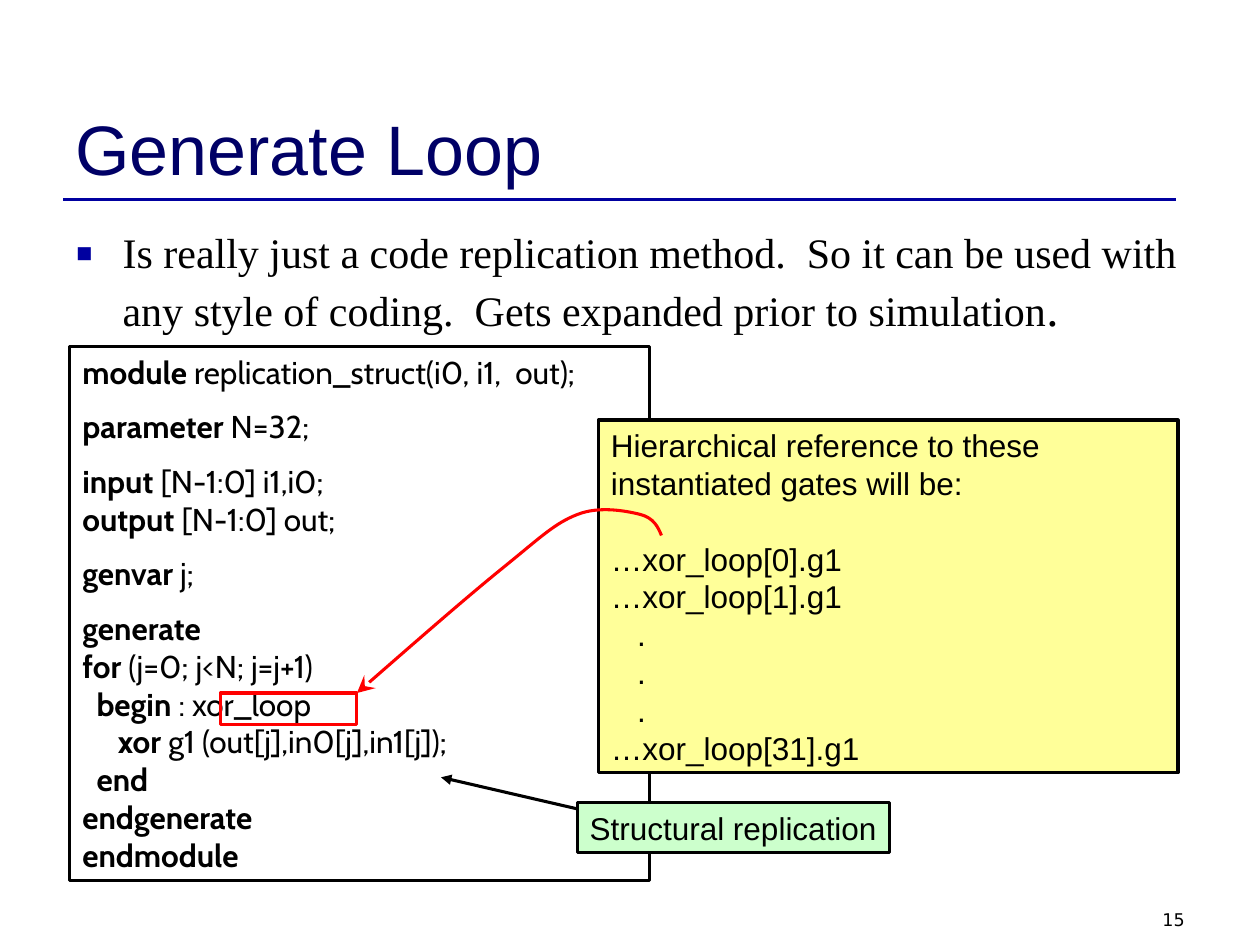
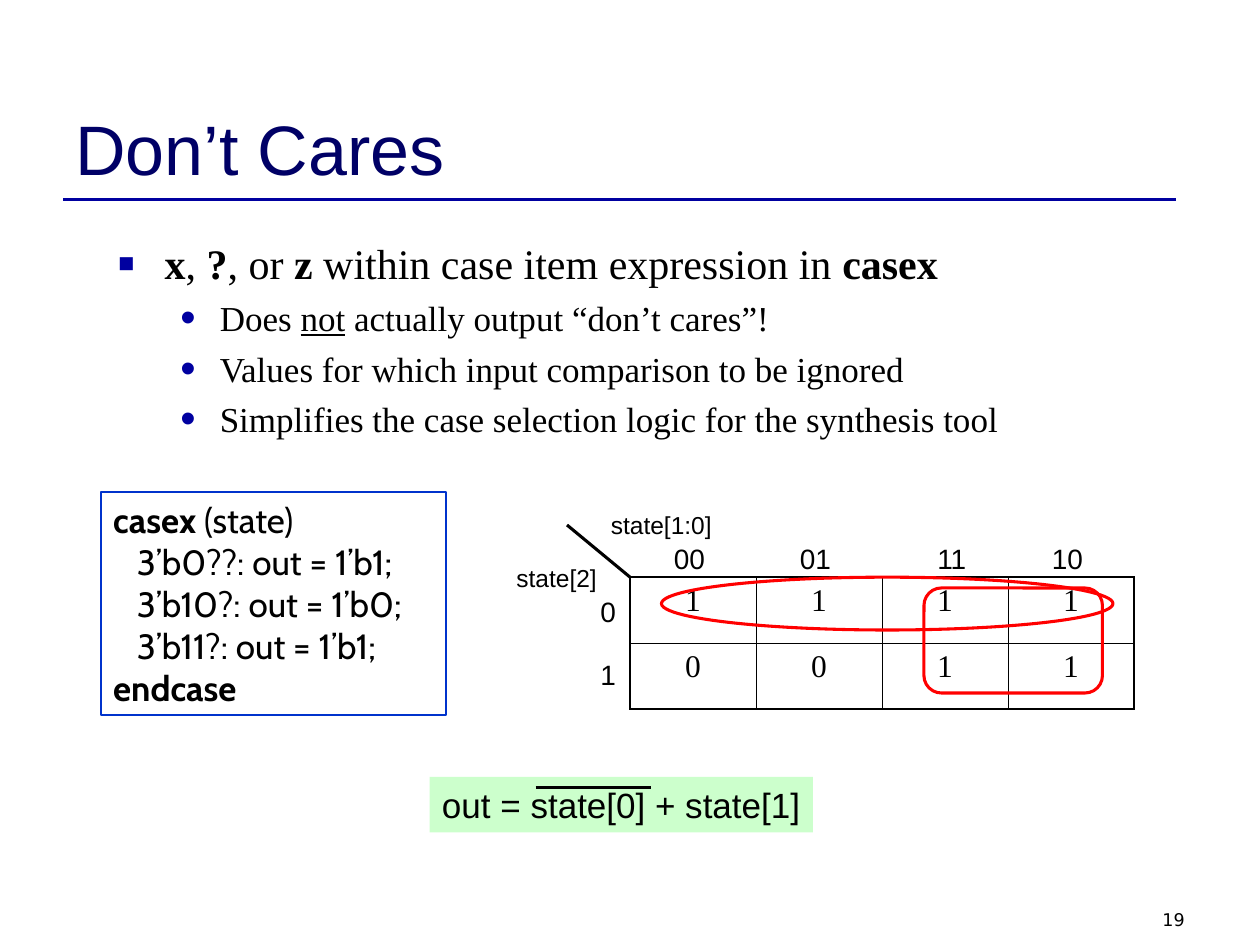
from pptx import Presentation
from pptx.dml.color import RGBColor
from pptx.enum.shapes import MSO_CONNECTOR, MSO_SHAPE
from pptx.enum.text import MSO_ANCHOR, PP_ALIGN
from pptx.oxml.ns import qn
from pptx.util import Pt
from lxml.etree import SubElement

COLORS = {
    "title": "000066",
    "accent": "0000A0",
    "text": "000000",
    "code_border": "0033CC",
    "highlight": "FF0000",
    "note": "FFFF99",
    "result": "CCFFCC",
}

TITLE = {"name": "Arial", "size": Pt(40), "color": "title"}
BODY = {"name": "Times New Roman", "size": Pt(24)}
SUB = {"name": "Times New Roman", "size": Pt(20)}
CELL = {"name": "Times New Roman", "size": Pt(18)}
CODE = {"name": "Cabin", "size": Pt(18)}
BIG_CODE = {"name": "Cabin", "size": Pt(20)}
NOTE = {"name": "Arial", "size": Pt(18)}
RESULT = {"name": "Arial", "size": Pt(20)}
HEADER = {"name": "Arial", "size": Pt(16)}
VARIABLE = {"name": "Arial", "size": Pt(14)}
NUMBER = {"name": "DejaVu Sans", "size": Pt(10)}

GAP = {"space_before": Pt(9.6)}
DOT = {"margin": 15}
BULLET = {"bullet": "▪", "margin": 27, "indent": -27}
SUB_BULLET = {"bullet": "•", "margin": 58.5, "indent": -22.5,
              "space_before": Pt(5), "font": SUB}


def rgb(name):
    return RGBColor.from_string(COLORS[name])


def add_run(p, text, font, **extra):
    r = p.add_run()
    r.text = text
    values = {**font, **extra}
    r.font.color.rgb = rgb(values.pop("color", "text"))
    for key, value in values.items():
        setattr(r.font, key, value)


def add_bullet(p, char):
    pPr = p._p.get_or_add_pPr()
    color = SubElement(pPr, qn("a:buClr"))
    SubElement(color, qn("a:srgbClr"), val=COLORS["accent"])
    SubElement(pPr, qn("a:buSzPct"), val="125000")
    SubElement(pPr, qn("a:buFont"), typeface="Arial")
    SubElement(pPr, qn("a:buChar"), char=char)


def format_paragraph(p, values):
    values = dict(values)
    pPr = p._p.get_or_add_pPr()
    pPr.set("marL", str(Pt(values.pop("margin", 0))))
    pPr.set("indent", str(Pt(values.pop("indent", 0))))
    bullet = values.pop("bullet", None)
    for key, value in values.items():
        setattr(p, key, value)
    if bullet:
        add_bullet(p, bullet)


def write(tf, lines, font, wrap=True, anchor=MSO_ANCHOR.TOP, **shared):
    """In each line, * switches bold and ~ switches underline."""
    tf.word_wrap = wrap
    tf.vertical_anchor = anchor
    for i, line in enumerate(lines):
        text, values = (line, {}) if isinstance(line, str) else line
        values = {"alignment": PP_ALIGN.LEFT, **shared, **values}
        line_font = values.pop("font", font)
        p = tf.paragraphs[0] if i == 0 else tf.add_paragraph()
        format_paragraph(p, values)
        for b, part in enumerate(text.split("*")):
            for u, piece in enumerate(part.split("~")):
                if piece:
                    add_run(p, piece, line_font, bold=b % 2 == 1, underline=u % 2 == 1)
    return tf


def add_text(s, box, lines, font, **values):
    sp = s.shapes.add_textbox(*map(Pt, box))
    return write(sp.text_frame, lines, font, **values)


def style_outline(sp, fill=None, line=None, width=1.75):
    sp.shadow.inherit = False
    if fill:
        sp.fill.solid()
        sp.fill.fore_color.rgb = rgb(fill)
    else:
        sp.fill.background()
    if line:
        sp.line.color.rgb = rgb(line)
        sp.line.width = Pt(width)
    else:
        sp.line.fill.background()


def add_outline(s, kind, box, **style):
    sp = s.shapes.add_shape(kind, *map(Pt, box))
    style_outline(sp, **style)
    return sp


def add_box(s, box, lines, font, style, **values):
    sp = add_outline(s, MSO_SHAPE.RECTANGLE, box, **style)
    write(sp.text_frame, lines, font, **values)


def add_arrowhead(sp, kind, size="med"):
    SubElement(sp.line._get_or_add_ln(), qn("a:tailEnd"), type=kind, w=size, len=size)


def add_line(s, start, end, color="text", width=1.75, head=None):
    c = s.shapes.add_connector(MSO_CONNECTOR.STRAIGHT, *map(Pt, start + end))
    c.line.color.rgb = rgb(color)
    c.line.width = Pt(width)
    if head:
        add_arrowhead(c, head)
    SubElement(c._element.spPr, qn("a:effectLst"))


def add_curve_arrow(s, points, color):
    points = [(Pt(x), Pt(y)) for x, y in points]
    builder = s.shapes.build_freeform(*points[0])
    builder.add_line_segments(points[1:], close=False)
    sp = builder.convert_to_shape()
    style_outline(sp, line=color)
    add_arrowhead(sp, "stealth", "lg")
    outline = next(sp._element.iter(qn("a:path")))
    segments = outline.findall(qn("a:lnTo"))
    for i in range(0, len(segments), 3):
        curve = SubElement(outline, qn("a:cubicBezTo"))
        for segment in segments[i:i + 3]:
            curve.append(segment[0])
            outline.remove(segment)


def set_borders(cell, widths):
    tcPr = cell._tc.get_or_add_tcPr()
    for i, (side, width) in enumerate(widths.items()):
        ln = tcPr.makeelement(qn(f"a:{side}"), w=str(Pt(width)))
        fill = SubElement(ln, qn("a:solidFill"))
        SubElement(fill, qn("a:srgbClr"), val=COLORS["text"])
        tcPr.insert(i, ln)


def add_map(s, left, top, col_width, row_height, rows):
    n, m = len(rows), len(rows[0])
    frame = s.shapes.add_table(n, m, *map(Pt, (left, top, m * col_width, n * row_height)))
    table = frame.table
    table.first_row = table.horz_banding = False
    for row in table.rows:
        row.height = Pt(row_height)
    for i, row in enumerate(rows):
        for j, value in enumerate(row):
            cell = table.cell(i, j)
            cell.fill.background()
            write(cell.text_frame, [value], CELL, alignment=PP_ALIGN.CENTER)
            edges = {"lnL": j == 0, "lnR": j == m - 1, "lnT": i == 0, "lnB": i == n - 1}
            set_borders(cell, {side: 1.08 if edge else 0.45 for side, edge in edges.items()})


def add_frame(prs, title, number):
    s = prs.slides.add_slide(prs.slide_layouts[6])
    add_line(s, (36, 113.8), (671.8, 113.8), "accent")
    add_text(s, (516, 516, 168, 18), [number], NUMBER, alignment=PP_ALIGN.RIGHT)
    add_text(s, (36, 21.6, 648, 90), [title], TITLE, anchor=MSO_ANCHOR.BOTTOM)
    return s


def build_generate_loop(prs):
    s = add_frame(prs, "Generate Loop", "15")
    tf = add_text(s, (36, 126, 648, 72), [
        ("Is really just a code replication method.  So it can be used with any style "
         "of coding.  Gets expanded prior to simulation", BULLET),
    ], BODY)
    add_run(tf.paragraphs[0], ".", BODY, size=Pt(28))

    add_box(s, (40, 198, 331.2, 305.3), [
        "*module* replication_struct(i0, i1,  out);",
        ("*parameter* N=32;", GAP),
        ("*input* [N-1:0] i1,i0;", GAP),
        "*output* [N-1:0] out;",
        ("*genvar* j;", GAP),
        ("*generate*", GAP),
        "*for* (j=0; j<N; j=j+1)",
        "  *begin* : xor_loop",
        "     *xor* g1 (out[j],in0[j],in1[j]);",
        "  *end*",
        "*endgenerate*",
        "*endmodule*",
    ], CODE, {"line": "text"})
    add_box(s, (329.8, 458.6, 178.6, 28.8), ["Structural replication"], NOTE,
            {"fill": "result", "line": "text"}, wrap=False)
    add_line(s, (329.8, 462.2), (252, 444.2), head="triangle")
    add_outline(s, MSO_SHAPE.RECTANGLE, (126, 396, 78, 18), line="highlight")
    add_box(s, (342, 240, 331.2, 201.6), [
        "Hierarchical reference to these instantiated gates will be:",
        ("…xor_loop[0].g1", {"space_before": Pt(21.6)}),
        "…xor_loop[1].g1",
        *[(".", DOT)] * 3,
        "…xor_loop[31].g1",
    ], NOTE, {"fill": "note", "line": "text"})
    add_curve_arrow(s, [
        (378, 306),
        (376, 301), (373.5, 296), (366, 294),
        (358, 292), (342.5, 289), (330, 294),
        (317, 299), (309, 307), (288, 324),
        (267, 341), (235.5, 368.5), (204, 396),
    ], "highlight")


def build_dont_cares(prs):
    s = add_frame(prs, "Don’t Cares", "19")
    add_text(s, (60, 132, 570, 162), [
        ("*x*, *?*, or *z* within case item expression in *casex*", BULLET),
        ("Does ~not~ actually output “don’t cares”!", SUB_BULLET),
        ("Values for which input comparison to be ignored", SUB_BULLET),
        ("Simplifies the case selection logic for the synthesis tool", SUB_BULLET),
    ], BODY)

    add_box(s, (57.6, 281.2, 197.3, 127.4), [
        "*casex* (state)",
        "   3’b0??: out = 1’b1;",
        "   3’b10?: out = 1’b0;",
        "   3’b11?: out = 1’b1;",
        "*endcase*",
    ], BIG_CODE, {"line": "code_border", "width": 1})

    left, top = 360, 329.8
    add_map(s, left, top, 72, 37.6, ["1111", "0011"])
    add_line(s, (left, top), (324, 300))
    labels = [
        ("state[1:0]", 342, 288, 80, VARIABLE),
        ("state[2]", 288, 318, 68, VARIABLE),
        *[(code, x, 306, 40, HEADER)
          for code, x in zip(("00", "01", "11", "10"), (378, 450, 528.5, 594))],
        *[(str(bit), 336, 336 + 36 * bit, 28, HEADER) for bit in range(2)],
    ]
    for text, x, y, width, font in labels:
        add_text(s, (x, y, width, 26), [text], font)
    add_outline(s, MSO_SHAPE.OVAL, (378, top, 258, 30.2), line="highlight")
    add_outline(s, MSO_SHAPE.ROUNDED_RECTANGLE, (528, 336, 102, 60), line="highlight")

    add_box(s, (245.5, 444, 219, 31.7), ["out = state[0] + state[1]"], RESULT,
            {"fill": "result"}, wrap=False)
    add_line(s, (306, 450), (372, 450))


def main():
    prs = Presentation()
    prs.slide_width, prs.slide_height = Pt(720), Pt(540)
    build_generate_loop(prs)
    build_dont_cares(prs)
    prs.save("out.pptx")


if __name__ == "__main__":
    main()
